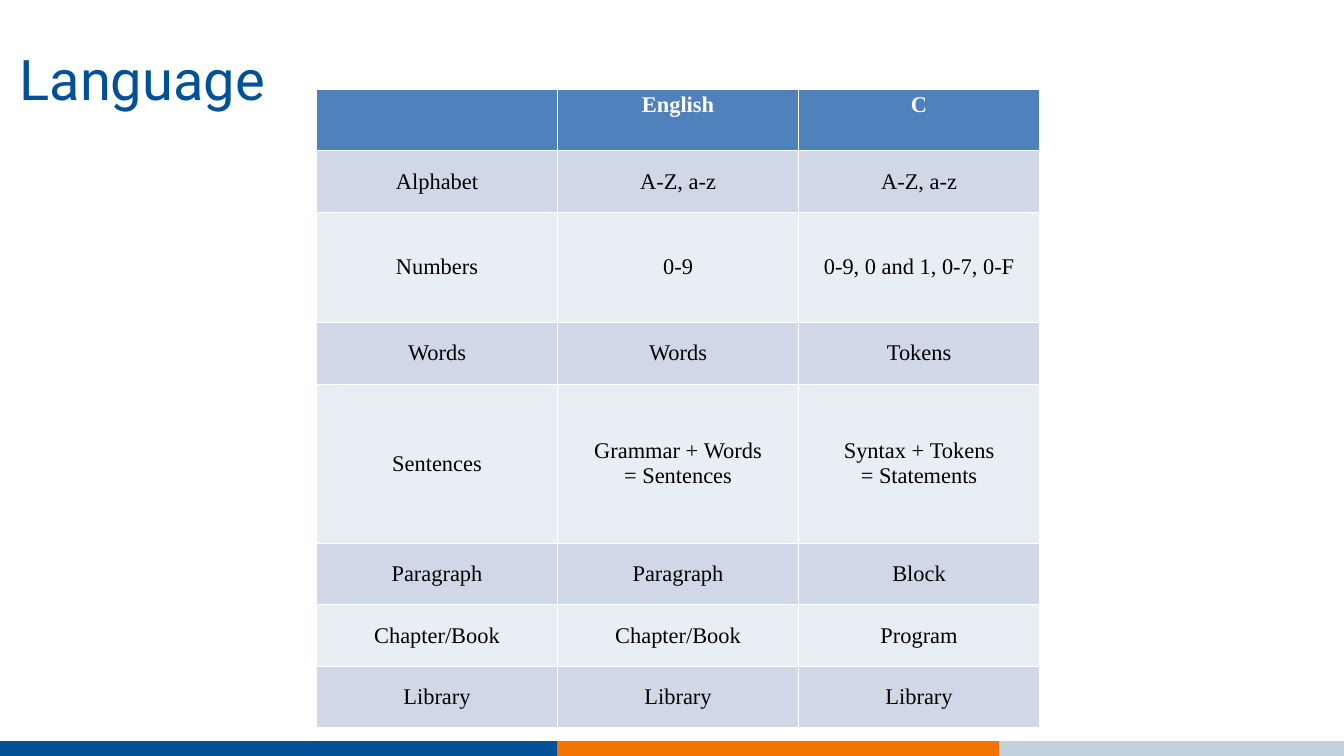
from dataclasses import dataclass

from lxml.etree import SubElement
from pptx import Presentation
from pptx.dml.color import RGBColor as Rgb
from pptx.enum.shapes import MSO_SHAPE as Shape
from pptx.enum.text import MSO_ANCHOR as Anchor, PP_ALIGN as Align
from pptx.oxml.ns import qn
from pptx.util import Pt


@dataclass(frozen=True)
class Theme:
    """Colours, fonts and type sizes of the slide."""
    navy: str = "005197"
    orange: str = "F37402"
    mist: str = "C3D0DD"
    header: str = "4F81BD"
    bands: tuple = ("D0D8E8", "E9EDF4")
    white: str = "FFFFFF"
    black: str = "000000"
    display_font: str = "Roboto"
    table_font: str = "Times New Roman"
    display_size: int = 60
    table_size: int = 24


THEME = Theme()
HARD_SPACE = chr(160)
COMPARISON = [
    ("", "English", "C"),
    ("Alphabet", "A-Z, a-z", "A-Z, a-z"),
    ("Numbers", "0-9", f"0-9, 0 and 1,{HARD_SPACE}0-7,{HARD_SPACE}0-F"),
    ("Words", "Words", "Tokens"),
    ("Sentences", f"Grammar +{HARD_SPACE}Words ={HARD_SPACE}Sentences",
     f"Syntax +{HARD_SPACE}Tokens ={HARD_SPACE}Statements"),
    ("Paragraph", "Paragraph", "Block"),
    ("Chapter/Book", "Chapter/Book", "Program"),
    ("Library", "Library", "Library"),
]
ROW_HEIGHT = 65.8
TALL_ROWS = {"Numbers": 118.4, "Sentences": 170.64}


def write(frame, text, *, font, size, color, bold=False, align=None, spacing=None):
    """Put one formatted paragraph into a text frame."""
    paragraph = frame.paragraphs[0]
    if align is not None:
        paragraph.alignment = align
    if spacing is not None:
        paragraph.line_spacing = Pt(spacing)
    run = paragraph.add_run()
    run.text = text
    run.font.name, run.font.size, run.font.bold = font, Pt(size), bold
    run.font.color.rgb = Rgb.from_string(color)


def add_footer(slide, top, height, segments):
    """Lay coloured segments side by side along the bottom edge."""
    left = 0
    for width, color in segments:
        segment = slide.shapes.add_shape(
            Shape.RECTANGLE, Pt(left), Pt(top), Pt(width), Pt(height))
        segment.shadow.inherit = False
        segment.fill.solid()
        segment.fill.fore_color.rgb = Rgb.from_string(color)
        segment.line.fill.background()
        left += width


def add_heading(slide, text, left, top, width, height):
    """Add a large label without inner margins."""
    frame = slide.shapes.add_textbox(Pt(left), Pt(top), Pt(width), Pt(height)).text_frame
    frame.word_wrap = True
    frame.margin_left = frame.margin_top = frame.margin_right = frame.margin_bottom = 0
    write(frame, text, font=THEME.display_font, size=THEME.display_size,
          color=THEME.navy, spacing=84)


def add_borders(cell, color, width):
    """Draw a solid line on all four sides of a cell."""
    properties = cell._tc.get_or_add_tcPr()
    for side in ("a:lnL", "a:lnR", "a:lnT", "a:lnB"):
        line = SubElement(properties, qn(side), w=str(Pt(width)))
        SubElement(SubElement(line, qn("a:solidFill")), qn("a:srgbClr"), val=color)


def format_cell(cell, text, row_index):
    """Style one cell as a header or as part of a banded row."""
    is_header = row_index == 0
    add_borders(cell, THEME.white, 0.75)
    cell.fill.solid()
    cell.fill.fore_color.rgb = Rgb.from_string(
        THEME.header if is_header else THEME.bands[(row_index - 1) % 2])
    cell.vertical_anchor = Anchor.TOP if is_header else Anchor.MIDDLE
    if text:
        write(cell.text_frame, text, font=THEME.table_font, size=THEME.table_size,
              color=THEME.white if is_header else THEME.black,
              bold=is_header, align=Align.CENTER)


def add_comparison(slide, left, top, column_width):
    """Add the table that sets English beside C."""
    heights = [TALL_ROWS.get(row[0], ROW_HEIGHT) for row in COMPARISON]
    columns = len(COMPARISON[0])
    table = slide.shapes.add_table(
        len(COMPARISON), columns, Pt(left), Pt(top),
        Pt(column_width * columns), Pt(sum(heights))).table
    for column in table.columns:
        column.width = Pt(column_width)
    for row_index, (entries, height) in enumerate(zip(COMPARISON, heights)):
        table.rows[row_index].height = Pt(height)
        for column_index, text in enumerate(entries):
            format_cell(table.cell(row_index, column_index), text, row_index)


def main():
    """Build the slide and save it."""
    deck = Presentation()
    deck.slide_width, deck.slide_height = Pt(1440), Pt(810)
    slide = deck.slides.add_slide(deck.slide_layouts[6])
    add_footer(slide, 794.16, 35.28, [
        (597.6, THEME.navy), (473.04, THEME.orange), (369.36, THEME.mist)])
    add_heading(slide, "Language", 20.88, 35.28, 919.44, 78.48)
    add_comparison(slide, 339.12, 95.76, 258.24)
    deck.save("out.pptx")


if __name__ == "__main__":
    main()
